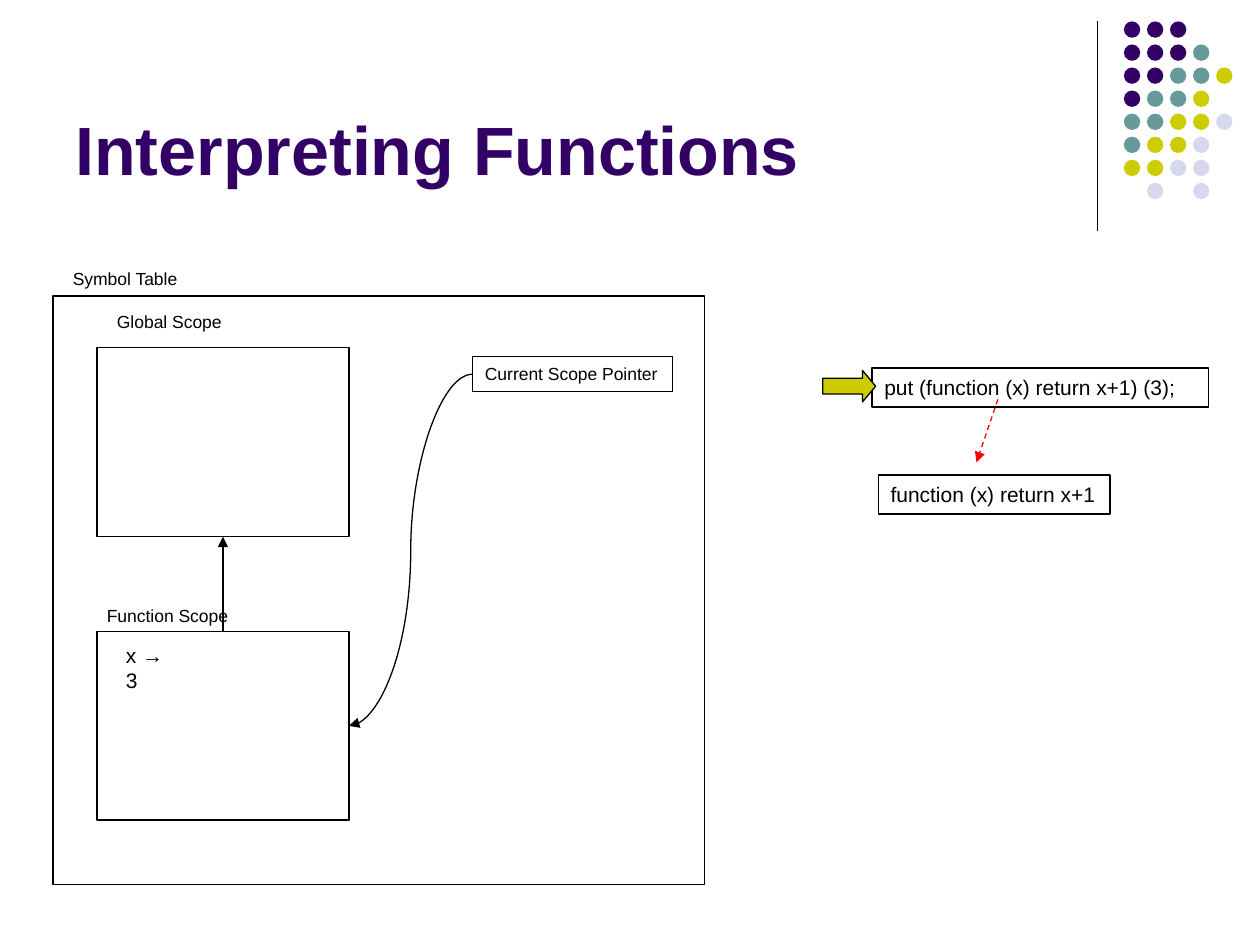
import lxml.etree
import pptx
import pptx.util
import pptx.dml.color
import pptx.enum.dml
import pptx.enum.shapes
import pptx.enum.text
import pptx.oxml.ns

THEME = {
    "font": "Arial",
    "ink": "000000", "title": "330066", "call": "FF0000", "marker": "CCCC00",
    "dots": {"P": "330066", "T": "669999", "Y": "CCCC00", "L": "D8D8EC"},
    "title_size": 39, "label_size": 10, "code_size": 12, "line": 0.75,
}
COLUMNS, ROWS = 100, 75
TITLE = ("Interpreting Functions", (5, 1.3, 82.5, 14.2))
DOT_ROWS = ["PPP", "PPPT", "PPTTY", "PTTY", "TTYYL", "TYYL", "YYLL", " L L"]
DOT_ORIGIN, DOT_PITCH, DOT_SIZE = (89.2, 1.7), 1.83, 1.3
DIVIDER = ((87.1, 1.7), (87.1, 18.3))
FRAMES = {
    "symbol table": (4.2, 23.5, 51.7, 46.7),
    "global scope": (7.7, 27.6, 20, 15),
    "function scope": (7.7, 50.1, 20, 15),
}
LABELS = [
    ("Global Scope", (8.3, 24.2, 10.3, 2.7), "label_size"),
    ("Function Scope", (7.5, 47.5, 12, 2.7), "label_size"),
    ("Symbol Table", (4.8, 20.8, 10.5, 2.7), "label_size"),
    ("x → 3", (9, 50.5, 6.3, 3), "code_size"),
]
BOXES = [
    ("Current Scope Pointer", (37.5, 28.3, 15.9, 2.8), "label_size", False),
    ("put (function (x) return x+1) (3);", (69.2, 29.2, 26.7, 3.1), "code_size", True),
    ("function (x) return x+1", (69.7, 37.7, 18.4, 3.1), "code_size", False),
]
MARKER = (65.3, 29.4, 4.2, 2.5)
CALL_ARROW = ((79.2, 31.7), (77.5, 36.7))

SHAPE = pptx.enum.shapes.MSO_SHAPE
CONNECTOR = pptx.enum.shapes.MSO_CONNECTOR

presentation = pptx.Presentation()
presentation.slide_width = pptx.util.Inches(10)
presentation.slide_height = pptx.util.Inches(7.5)
slide = presentation.slides.add_slide(presentation.slide_layouts[6])


def place(*lengths):
    units = (presentation.slide_width / COLUMNS, presentation.slide_height / ROWS)
    return [round(length * units[index % 2]) for index, length in enumerate(lengths)]


def color(value):
    return pptx.dml.color.RGBColor.from_string(value)


def add_shape(kind, position, fill=None, line=THEME["ink"], parent=slide):
    shape = parent.shapes.add_shape(kind, *place(*position))
    shape.shadow.inherit = False
    if fill:
        shape.fill.solid()
        shape.fill.fore_color.rgb = color(fill)
    else:
        shape.fill.background()
    if line:
        shape.line.color.rgb = color(line)
        shape.line.width = pptx.util.Pt(THEME["line"])
    else:
        shape.line.fill.background()
    return shape


def write(shape, text, size, ink=THEME["ink"], bold=False, wrap=False, anchor="TOP", grow=True):
    frame = shape.text_frame
    frame.word_wrap = wrap
    fit = pptx.enum.text.MSO_AUTO_SIZE
    frame.auto_size = fit.SHAPE_TO_FIT_TEXT if grow else fit.NONE
    frame.vertical_anchor = pptx.enum.text.MSO_ANCHOR[anchor]
    paragraph = frame.paragraphs[0]
    paragraph.alignment = pptx.enum.text.PP_ALIGN.LEFT
    run = paragraph.add_run()
    run.text = text
    run.font.name = THEME["font"]
    run.font.size = pptx.util.Pt(THEME[size])
    run.font.bold = bold
    run.font.color.rgb = color(ink)


def add_line(start, end, kind=CONNECTOR.STRAIGHT, ink=THEME["ink"], arrow=True, dashed=False):
    connector = slide.shapes.add_connector(kind, *place(*start, *end))
    connector.line.color.rgb = color(ink)
    connector.line.width = pptx.util.Pt(THEME["line"])
    if dashed:
        connector.line.dash_style = pptx.enum.dml.MSO_LINE.DASH
    properties = connector._element.find(pptx.oxml.ns.qn("p:spPr"))
    if arrow:
        outline = properties.find(pptx.oxml.ns.qn("a:ln"))
        lxml.etree.SubElement(outline, pptx.oxml.ns.qn("a:tailEnd"), type="triangle")
    lxml.etree.SubElement(properties, pptx.oxml.ns.qn("a:effectLst"))
    return connector


def join(begin, begin_side, end, end_side, kind=CONNECTOR.STRAIGHT):
    connector = add_line((0, 0), (0, 0), kind)
    connector.begin_connect(begin, begin_side)
    connector.end_connect(end, end_side)


add_line(*DIVIDER, arrow=False)
dots = slide.shapes.add_group_shape()
for row, pattern in enumerate(DOT_ROWS):
    for column, key in enumerate(pattern):
        if key in THEME["dots"]:
            left = DOT_ORIGIN[0] + column * DOT_PITCH
            top = DOT_ORIGIN[1] + row * DOT_PITCH
            add_shape(SHAPE.OVAL, (left, top, DOT_SIZE, DOT_SIZE),
                      fill=THEME["dots"][key], line=None, parent=dots)

title, position = TITLE
write(slide.shapes.add_textbox(*place(*position)), title, "title_size",
      ink=THEME["title"], bold=True, wrap=True, anchor="BOTTOM", grow=False)

frames = {name: add_shape(SHAPE.RECTANGLE, position) for name, position in FRAMES.items()}
join(frames["function scope"], 0, frames["global scope"], 2)

for text, position, size in LABELS:
    write(slide.shapes.add_textbox(*place(*position)), text, size)

boxes = []
for text, position, size, wrap in BOXES:
    box = add_shape(SHAPE.RECTANGLE, position)
    write(box, text, size, wrap=wrap)
    boxes.append(box)
join(boxes[0], 1, frames["function scope"], 3, CONNECTOR.CURVE)

marker = add_shape(SHAPE.RIGHT_ARROW, MARKER, fill=THEME["marker"])
marker.adjustments[1] = 0.42
add_line(*CALL_ARROW, ink=THEME["call"], dashed=True)

presentation.save("out.pptx")
